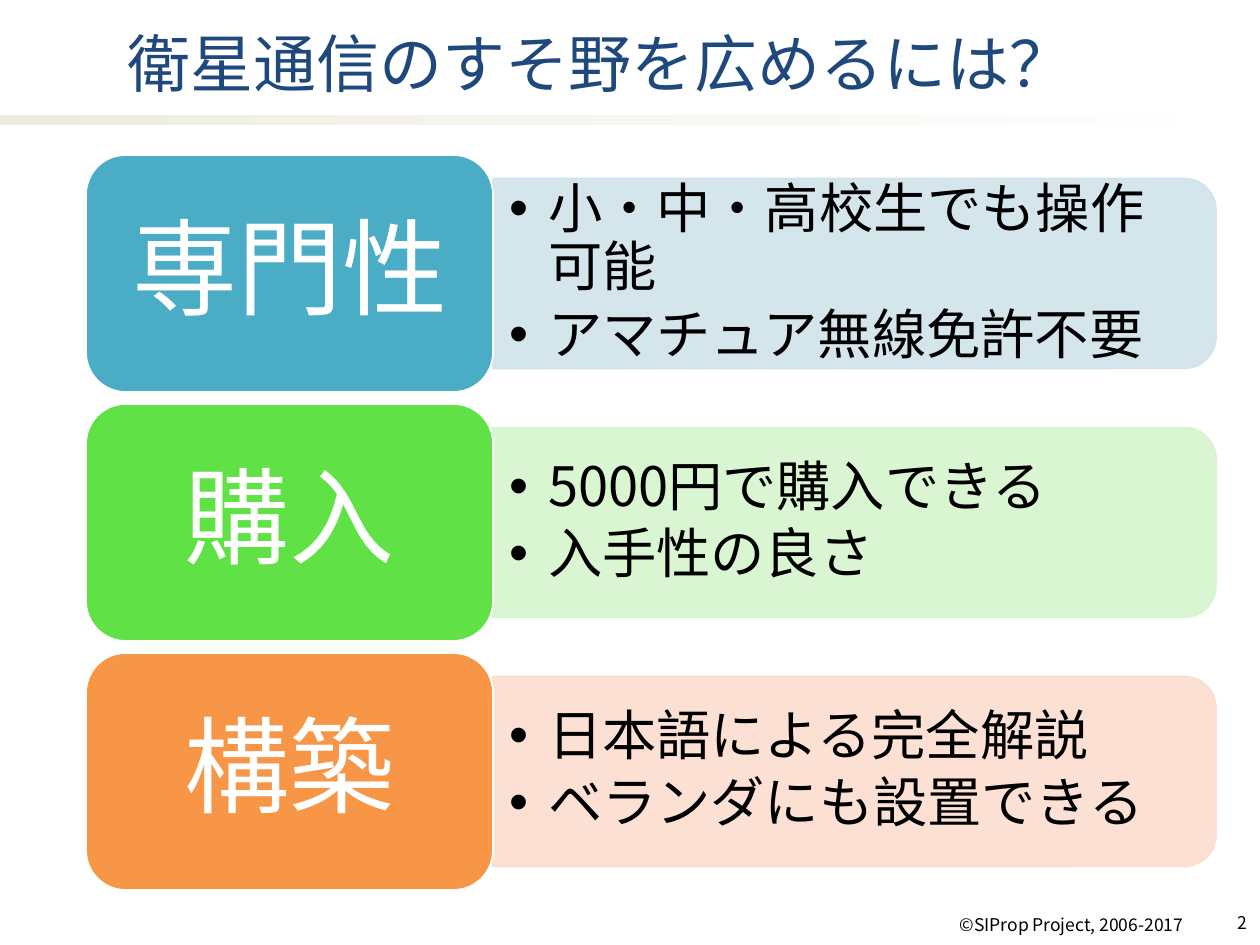
from lxml.etree import SubElement
from pptx import Presentation
from pptx.dml.color import RGBColor
from pptx.enum.shapes import MSO_SHAPE as SHAPE
from pptx.enum.text import MSO_ANCHOR as ANCHOR, PP_ALIGN as ALIGN
from pptx.oxml.ns import qn
from pptx.util import Emu, Pt

SCALE = 914400 / 126
FONT = "Noto Sans CJK JP"
BLACK = RGBColor(0, 0, 0)
WHITE = RGBColor(255, 255, 255)
NAVY = RGBColor(0x1F, 0x49, 0x7D)
BEIGE = RGBColor(0xEE, 0xEC, 0xE1)

ROWS = [
    ("専門性", ["小・中・高校生でも操作可能", "アマチュア無線免許不要"],
     RGBColor(0x4B, 0xAC, 0xC6), RGBColor(0xD0, 0xE3, 0xEA)),
    ("購入", ["5000円で購入できる", "入手性の良さ"],
     RGBColor(0x60, 0xE1, 0x46), RGBColor(0xD6, 0xF4, 0xCE)),
    ("構築", ["日本語による完全解説", "ベランダにも設置できる"],
     RGBColor(0xF7, 0x96, 0x46), RGBColor(0xFC, 0xDD, 0xCF)),
]
ROW_TOP, ROW_PITCH = 155, 249
CARD_LEFT, CARD_WIDTH, CARD_HEIGHT = 86, 407, 237
PANEL_LEFT, PANEL_WIDTH, PANEL_HEIGHT = 493, 723, 190
LIST_WIDTH, LIST_HEIGHT = 713, 172


def px(*lengths):
    return [Emu(round(length * SCALE)) for length in lengths]


def write(shape, lines, size, color, align=ALIGN.LEFT, anchor=ANCHOR.MIDDLE,
          inset=(13, 6), bullet=False, spacing=None):
    frame = shape.text_frame
    frame.word_wrap = True
    frame.vertical_anchor = anchor
    frame.margin_left = frame.margin_right = px(inset[0])[0]
    frame.margin_top = frame.margin_bottom = px(inset[1])[0]
    for index, line in enumerate(lines):
        paragraph = frame.add_paragraph() if index else frame.paragraphs[0]
        paragraph.alignment = align
        paragraph.line_spacing = spacing
        if bullet:
            paragraph.space_after = Pt(5)
            properties = paragraph._p.get_or_add_pPr()
            indent = px(39)[0]
            properties.set("marL", str(indent))
            properties.set("indent", str(-indent))
            SubElement(properties, qn("a:buFont"), typeface="Arial")
            SubElement(properties, qn("a:buChar"), char="•")
        run = paragraph.add_run()
        run.text = line
        run.font.size = Pt(size)
        run.font.name = FONT
        run.font.color.rgb = color
        SubElement(run.font._element, qn("a:ea"), typeface=FONT)


presentation = Presentation()
presentation.slide_width, presentation.slide_height = px(1260, 945)
slide = presentation.slides.add_slide(presentation.slide_layouts[6])
shapes = slide.shapes

band = shapes.add_shape(SHAPE.RECTANGLE, *px(0, 115, 1260, 10))
band.shadow.inherit = False
band.line.fill.background()
band.fill.gradient()
band.fill.gradient_angle = 0
for stop, color in zip(band.fill.gradient_stops, (BEIGE, WHITE)):
    stop.color.rgb = color

title = shapes.add_textbox(*px(115, 0, 1071, 125))
write(title, ["衛星通信のすそ野を広めるには？"], 36, NAVY)

copyright_line = shapes.add_textbox(*px(640, 908, 556, 40))
write(copyright_line, ["©SIProp Project, 2006-2017"], 10, BLACK, ALIGN.RIGHT, ANCHOR.TOP)

page_number = shapes.add_textbox(*px(1200, 906, 60, 39))
write(page_number, ["2"], 10, BLACK, ALIGN.RIGHT, ANCHOR.TOP)

for index, (heading, points, card_color, panel_color) in enumerate(ROWS):
    top = ROW_TOP + index * ROW_PITCH
    middle = top + CARD_HEIGHT / 2

    panel = shapes.add_shape(SHAPE.ROUND_2_SAME_RECTANGLE, *px(
        PANEL_LEFT + (PANEL_WIDTH - PANEL_HEIGHT) / 2, middle - PANEL_WIDTH / 2,
        PANEL_HEIGHT, PANEL_WIDTH))
    panel.rotation = 90
    panel.shadow.inherit = False
    panel.line.width = Pt(1)
    for fill in (panel.fill, panel.line.fill):
        fill.solid()
        fill.fore_color.rgb = panel_color
    for color_element in panel._element.spPr.iter(qn("a:srgbClr")):
        SubElement(color_element, qn("a:alpha"), val="90000")

    point_list = shapes.add_textbox(*px(
        PANEL_LEFT, middle - LIST_HEIGHT / 2, LIST_WIDTH, LIST_HEIGHT))
    write(point_list, points, 31, BLACK, inset=(16, 8), bullet=True, spacing=0.9)

    card = shapes.add_shape(SHAPE.ROUNDED_RECTANGLE, *px(
        CARD_LEFT, top, CARD_WIDTH, CARD_HEIGHT))
    card.shadow.inherit = False
    card.fill.solid()
    card.fill.fore_color.rgb = card_color
    card.line.color.rgb = WHITE
    card.line.width = Pt(1)
    write(card, [heading], 60, WHITE, ALIGN.CENTER, inset=(31, 15), spacing=0.9)

presentation.save("out.pptx")
